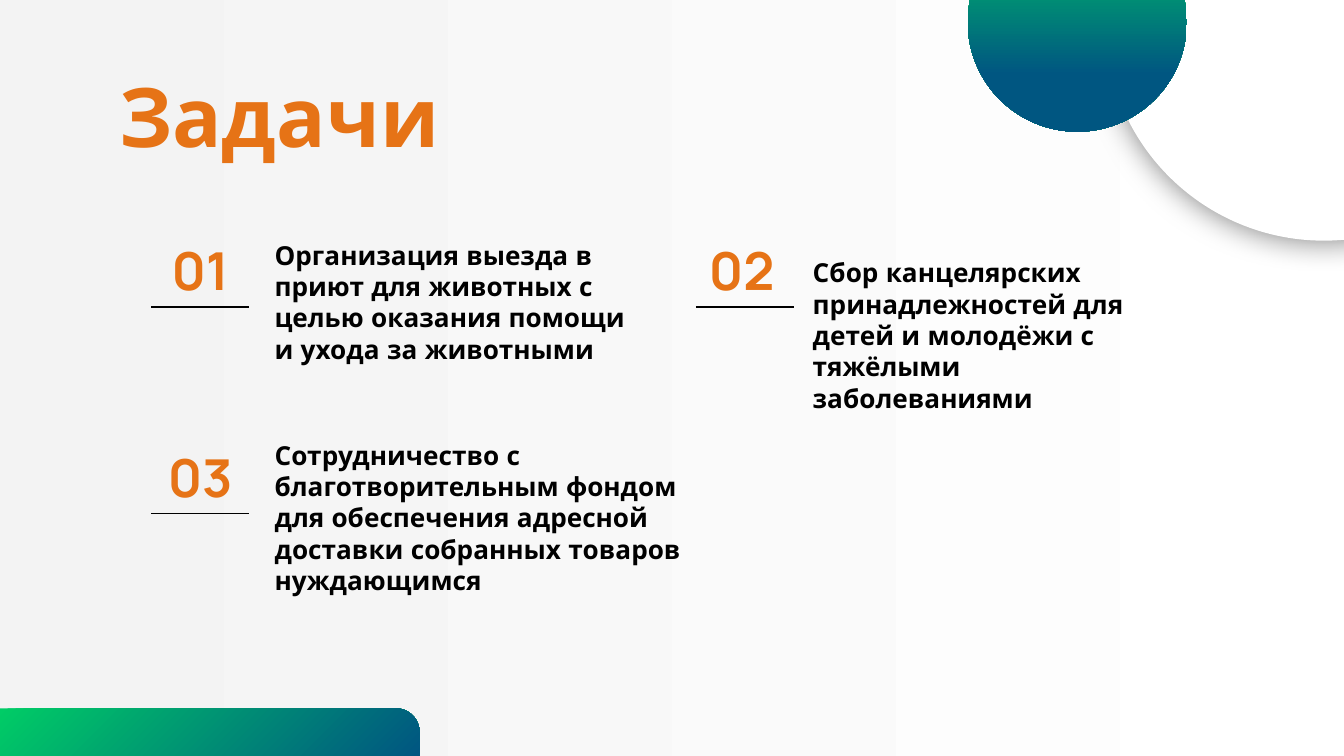
from lxml import etree
from pptx import Presentation
from pptx.dml.color import RGBColor
from pptx.enum.shapes import MSO_CONNECTOR, MSO_SHAPE
from pptx.enum.text import MSO_ANCHOR, MSO_AUTO_SIZE, PP_ALIGN
from pptx.oxml.ns import qn
from pptx.util import Cm, Pt

STRAIGHT = MSO_CONNECTOR.STRAIGHT
ELLIPSE, TAB = MSO_SHAPE.OVAL, MSO_SHAPE.ROUND_1_RECTANGLE
TOP, MIDDLE = MSO_ANCHOR.TOP, MSO_ANCHOR.MIDDLE
LEFT, CENTER = PP_ALIGN.LEFT, PP_ALIGN.CENTER
NO_AUTOFIT = MSO_AUTO_SIZE.NONE
COLORS = {"accent": "E67316", "text": "000000", "white": "FFFFFF",
          "mist": "F3F3F3", "green": "00CC66", "blue": "005681"}
TITLE_ONLY = 5


class TaskSlide:
    body_font, number_font = "Quicksand", "Manrope"
    inset = Cm(0.25)

    def __init__(self, slide):
        self.slide = slide

    def color(self, name):
        return RGBColor.from_string(COLORS[name])

    def gradient(self, fill, start, end, angle, end_position=1):
        fill.gradient()
        fill.gradient_angle = angle
        first, last = fill.gradient_stops
        first.color.rgb, first.position = self.color(start), 0
        last.color.rgb, last.position = self.color(end), end_position

    def shape(self, kind, left, top, width, height):
        shape = self.slide.shapes.add_shape(kind, Cm(left), Cm(top), Cm(width), Cm(height))
        shape.shadow.inherit = False
        shape.line.fill.background()
        return shape

    def glow(self, shape, blur, alpha):
        effects = shape._element.spPr.find(qn("a:effectLst"))
        shadow = etree.SubElement(effects, qn("a:outerShdw"), blurRad=str(Pt(blur)),
                                  dist="0", dir="0", algn="bl", rotWithShape="0")
        tint = etree.SubElement(shadow, qn("a:srgbClr"), val=COLORS["text"])
        etree.SubElement(tint, qn("a:alpha"), val=str(alpha * 1000))

    def format_text(self, holder, text, size, font, color, align=LEFT, anchor=TOP):
        frame = holder.text_frame
        frame.text = text
        frame.word_wrap = True
        frame.auto_size = NO_AUTOFIT
        frame.vertical_anchor = anchor
        frame.margin_left = frame.margin_right = self.inset
        frame.margin_top = frame.margin_bottom = self.inset
        paragraph = frame.paragraphs[0]
        paragraph.alignment = align
        paragraph.font.name = font
        paragraph.font.size = Pt(size)
        paragraph.font.bold = True
        paragraph.font.color.rgb = self.color(color)

    def title(self, text, left, top, width, height):
        heading = self.slide.shapes.title
        heading.left, heading.top = Cm(left), Cm(top)
        heading.width, heading.height = Cm(width), Cm(height)
        self.format_text(heading, text, 44, self.body_font, "accent", anchor=MIDDLE)

    def text(self, text, left, top, width, height, **style):
        box = self.slide.shapes.add_textbox(Cm(left), Cm(top), Cm(width), Cm(height))
        self.format_text(box, text, **style)

    def rule(self, left, top, width):
        line = self.slide.shapes.add_connector(
            STRAIGHT, Cm(left), Cm(top), Cm(left + width), Cm(top))
        line.line.color.rgb = self.color("text")
        line.line.width = Pt(0.75)
        etree.SubElement(line._element.spPr, qn("a:effectLst"))

    def task(self, number, left, top, align, text, text_left, text_top, width, height):
        self.text(number, left, top, 1.85, 0.99, size=28, font=self.number_font,
                  color="accent", align=align, anchor=MIDDLE)
        self.rule(left, top + 1.2, 1.85)
        self.text(text, text_left, text_top, width, height, size=14,
                  font=self.body_font, color="text")


def main():
    deck = Presentation()
    deck.slide_width, deck.slide_height = Cm(25.4), Cm(14.29)
    page = TaskSlide(deck.slides.add_slide(deck.slide_layouts[TITLE_ONLY]))
    page.gradient(page.slide.background.fill, "white", "mist", 180)

    footer = page.shape(TAB, 0, 13.39, 7.93, 0.9)
    footer.adjustments[0] = 0.5
    page.gradient(footer.fill, "green", "blue", 315)

    page.title("Задачи", 2, 1.5, 21.44, 1.32)
    tasks = [
        ("01", 2.86, 4.6, CENTER,
         "Организация выезда в приют для животных с целью оказания помощи и ухода за животными",
         4.94, 4.27, 7.34, 2.72),
        ("02", 13.15, 4.6, LEFT,
         "Сбор канцелярских принадлежностей для детей и молодёжи с тяжёлыми заболеваниями",
         15.11, 4.6, 7.34, 2.03),
        ("03", 2.86, 8.51, CENTER,
         "Сотрудничество с благотворительным фондом для обеспечения адресной доставки "
         "собранных товаров нуждающимся",
         4.94, 8.05, 8.2, 1.45),
    ]
    for task in tasks:
        page.task(*task)

    halo = page.shape(ELLIPSE, 20.88, -3.73, 8.28, 8.28)
    halo.fill.solid()
    halo.fill.fore_color.rgb = page.color("white")
    page.glow(halo, 16.9, 50)
    ball = page.shape(ELLIPSE, 18.29, -1.65, 4.14, 4.14)
    page.gradient(ball.fill, "green", "blue", 270, 0.74)

    deck.save("out.pptx")


if __name__ == "__main__":
    main()
